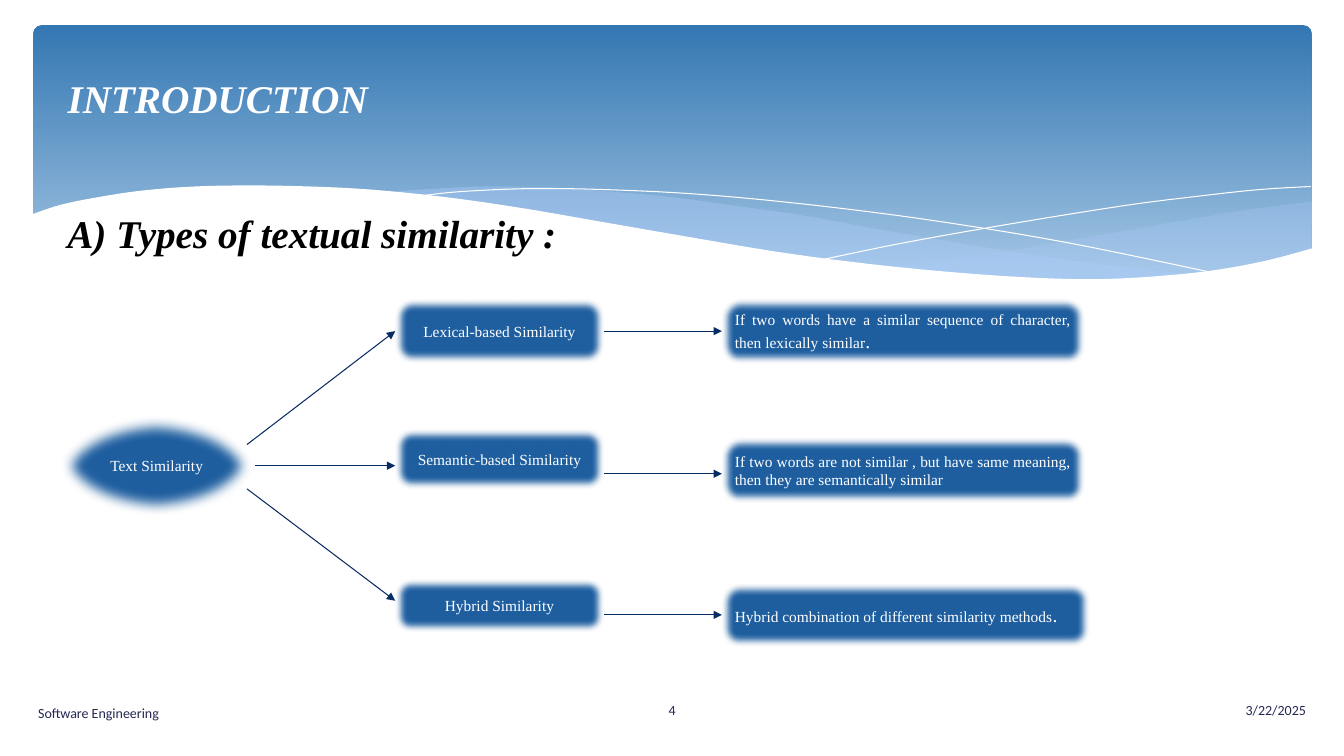
from lxml import etree
from pptx import Presentation
from pptx.dml.color import RGBColor
from pptx.enum.shapes import MSO_CONNECTOR, MSO_SHAPE
from pptx.enum.text import MSO_ANCHOR, MSO_AUTO_SIZE, PP_ALIGN
from pptx.oxml.ns import qn
from pptx.util import Inches, Pt

ROUND, OVAL = MSO_SHAPE.ROUNDED_RECTANGLE, MSO_SHAPE.OVAL
STRAIGHT = MSO_CONNECTOR.STRAIGHT
LEFT, CENTER, RIGHT, JUSTIFY = PP_ALIGN.LEFT, PP_ALIGN.CENTER, PP_ALIGN.RIGHT, PP_ALIGN.JUSTIFY
TOP, MIDDLE = MSO_ANCHOR.TOP, MSO_ANCHOR.MIDDLE
GROW = MSO_AUTO_SIZE.SHAPE_TO_FIT_TEXT
LEFT_SIDE, RIGHT_SIDE = 1, 3

COLORS = {
    "sky_top": "3477B2", "sky_bottom": "A1C4E3", "wave": "ACCBF9", "white": "FFFFFF",
    "black": "000000", "node": "1F5FA0", "arrow": "072C62", "footer": "242852",
}
HEADING = {"name": "Times New Roman", "size": Pt(28), "bold": True, "italic": True}
NODE = {"name": "Times New Roman", "size": Pt(11)}
FULL_STOP = {**NODE, "size": Pt(14)}
FOOTER = {"name": "Calibri", "size": Pt(10)}

RIGHT_WAVE_TOP = [(13.01, 2), (12.46, 2.07), (11.88, 2.16), (11.1, 2.3), (10.05, 2.48),
                  (9.41, 2.57), (8.82, 2.65)]
RIGHT_WAVE_BOTTOM = [(8.82, 2.65), (9.4, 2.71), (10.09, 2.76), (10.71, 2.78), (11.38, 2.76),
                     (12.07, 2.69), (12.57, 2.59), (13.01, 2.47)]
LONG_WAVE_TOP = [(11.9, 2.73), (10.76, 2.6), (9.89, 2.47), (8.91, 2.31), (7.98, 2.14),
                 (7.21, 2.03), (6.52, 1.94), (5.6, 1.87), (4.82, 1.85), (4.18, 1.88), (3.82, 1.91)]
LONG_WAVE_BOTTOM = [(3.82, 1.91), (4.56, 1.99), (5.39, 2.11), (5.99, 2.22), (7.06, 2.4),
                    (8.02, 2.55), (8.87, 2.66), (9.81, 2.75), (10.61, 2.78), (11.31, 2.77), (11.9, 2.73)]
FALLING_LINE = [(4.12, 1.95), (4.58, 1.9), (5.35, 1.87), (6.25, 1.89), (7.1, 1.94), (8.11, 2.04),
                (9.27, 2.19), (10.6, 2.41), (12.1, 2.72)]
RISING_LINE = [(8.18, 2.57), (8.96, 2.41), (9.97, 2.23), (11.15, 2.04), (11.94, 1.94),
               (12.5, 1.88), (13, 1.85)]
HILL = [(13.03, 2.46), (12.54, 2.59), (11.98, 2.69), (11.34, 2.75), (10.78, 2.77), (10.15, 2.75),
        (9.44, 2.7), (8.63, 2.62), (7.72, 2.5), (6.71, 2.33), (5.96, 2.2), (5.21, 2.07),
        (4.53, 1.97), (3.9, 1.9), (3.33, 1.86), (2.58, 1.84), (1.94, 1.85), (1.42, 1.89),
        (1.01, 1.95), (0.61, 2.03), (0.31, 2.13)]


def curve(knots, steps=6):
    """Return points of a Catmull-Rom spline through the knots."""
    padded = [knots[0], *knots, knots[-1]]
    points = [knots[0]]
    for a, b, c, d in zip(padded, padded[1:], padded[2:], padded[3:]):
        for step in range(1, steps + 1):
            t = step / steps
            points.append(tuple(
                (2 * q + (r - p) * t + (2 * p - 5 * q + 4 * r - s) * t ** 2
                 + (3 * q - p - 3 * r + s) * t ** 3) / 2
                for p, q, r, s in zip(a, b, c, d)))
    return points


class SimilaritySlide:
    """Holds the colours and the slide being drawn."""

    def __init__(self, deck, colors):
        self.colors = {name: RGBColor.from_string(code) for name, code in colors.items()}
        self.slide = deck.slides.add_slide(deck.slide_layouts[5])
        self.shapes = self.slide.shapes

    def letter(self, shape, runs, color, align, anchor=MIDDLE, auto_size=None):
        """Fill the text frame of a shape with formatted runs."""
        frame = shape.text_frame
        layout = {"word_wrap": True, "vertical_anchor": anchor, "auto_size": auto_size}
        for key, value in layout.items():
            setattr(frame, key, value)
        paragraph = frame.paragraphs[0]
        paragraph.alignment = align
        for wording, style in runs:
            run = paragraph.add_run()
            run.text = wording
            run.font.color.rgb = self.colors[color]
            for key, value in style.items():
                setattr(run.font, key, value)

    def title(self, box, wording):
        """Place the title in front of the banner."""
        title = self.shapes.title
        for key, value in zip(("left", "top", "width", "height"), box):
            setattr(title, key, Inches(value))
        self.letter(title, [(wording, HEADING)], "white", LEFT)
        self.shapes.element.append(title.element)

    def text(self, box, wording, style, color, align=LEFT, anchor=MIDDLE, auto_size=None):
        """Add a text box."""
        label = self.shapes.add_textbox(*map(Inches, box))
        self.letter(label, [(wording, style)], color, align, anchor, auto_size)

    def banner(self, box):
        """Add the rounded gradient banner."""
        banner = self.shapes.add_shape(ROUND, *map(Inches, box))
        banner.shadow.inherit = False
        banner.adjustments[0] = 0.03
        banner.line.fill.background()
        banner.fill.gradient()
        banner.fill.gradient_angle = 270
        stops = zip(banner.fill.gradient_stops, (0, 0.9), ("sky_top", "sky_bottom"))
        for stop, position, color in stops:
            stop.position = position
            stop.color.rgb = self.colors[color]

    def outline(self, points, close):
        """Add a freeform through points given in inches."""
        start, *rest = [(Inches(x), Inches(y)) for x, y in points]
        builder = self.shapes.build_freeform(*start, scale=1.0)
        builder.add_line_segments(rest, close=close)
        shape = builder.convert_to_shape()
        shape.shadow.inherit = False
        return shape

    def wave(self, points, color, opacity=100):
        """Add a filled wave."""
        wave = self.outline(points, True)
        wave.line.fill.background()
        wave.fill.solid()
        wave.fill.fore_color.rgb = self.colors[color]
        if opacity < 100:
            tint = wave.element.spPr.find(".//" + qn("a:srgbClr"))
            etree.SubElement(tint, qn("a:alpha"), val=str(opacity * 1000))

    def strand(self, points):
        """Add a thin white curve."""
        strand = self.outline(points, False)
        strand.fill.background()
        strand.line.color.rgb = self.colors["white"]
        strand.line.width = Pt(0)

    def node(self, box, runs, align=CENTER, preset=ROUND, softness=5):
        """Add a soft-edged diagram node."""
        node = self.shapes.add_shape(preset, *map(Inches, box))
        node.shadow.inherit = False
        node.fill.solid()
        node.fill.fore_color.rgb = self.colors["node"]
        node.line.color.rgb = self.colors["black"]
        node.line.width = Pt(0.75)
        effects = node.element.spPr.find(qn("a:effectLst"))
        etree.SubElement(effects, qn("a:softEdge"), rad=str(Pt(softness)))
        self.letter(node, runs, "white", align)
        return node

    def arrow(self, start, end, source=None, target=None):
        """Add an arrow, joined to any given nodes."""
        arrow = self.shapes.add_connector(STRAIGHT, *map(Inches, (*start, *end)))
        if source:
            arrow.begin_connect(source, RIGHT_SIDE)
        if target:
            arrow.end_connect(target, LEFT_SIDE)
        arrow.line.color.rgb = self.colors["arrow"]
        arrow.line.width = Pt(0.75)
        stroke = arrow.element.spPr.find(qn("a:ln"))
        etree.SubElement(stroke, qn("a:tailEnd"), type="triangle")
        etree.SubElement(arrow.element.spPr, qn("a:effectLst"))


def main():
    """Build and save the slide."""
    deck = Presentation()
    deck.slide_width, deck.slide_height = Inches(13.33), Inches(7.5)
    page = SimilaritySlide(deck, COLORS)

    page.banner((0.33, 0.25, 12.68, 2.7))
    page.wave(curve(RIGHT_WAVE_TOP) + curve(RIGHT_WAVE_BOTTOM), "wave", 29)
    page.wave(curve(LONG_WAVE_TOP) + curve(LONG_WAVE_BOTTOM), "wave", 40)
    page.strand(curve(FALLING_LINE))
    page.strand(curve(RISING_LINE))
    page.wave(curve(HILL) + [(0.31, 3.29), (13.03, 3.29)], "white")

    page.text((7.53, 6.84, 5.52, 0.4), "3/22/2025", FOOTER, "footer", RIGHT)
    page.text((0.28, 6.87, 5.52, 0.4), "Software Engineering", FOOTER, "footer")
    page.text((5.82, 6.84, 1.69, 0.4), "4", FOOTER, "footer", CENTER)

    page.node((0.57, 4.12, 1.97, 1), [("Text Similarity", NODE)], preset=OVAL, softness=9)
    kinds = [
        page.node((3.92, top, 2.07, height), [(f"{kind} Similarity", NODE)])
        for kind, top, height in (("Lexical-based", 2.97, 0.63), ("Semantic-based", 4.26, 0.59),
                                  ("Hybrid", 5.74, 0.53))]
    definitions = (
        (2.97, 3.59, 0.63, [("If two words have a similar sequence of character, "
                             "then lexically similar", NODE), (".", FULL_STOP)]),
        (4.35, 3.59, 0.63, [("If two words are not similar , but have same meaning, "
                             "then they are semantically similar", NODE)]),
        (5.79, 3.64, 0.62, [("Hybrid combination of different similarity methods", NODE),
                            (".", FULL_STOP)]))
    meanings = [page.node((7.16, top, width, height), runs, JUSTIFY)
                for top, width, height, runs in definitions]

    page.arrow((2.45, 4.41), (3.92, 3.28), target=kinds[0])
    page.arrow((2.53, 4.62), (3.92, 4.62))
    page.arrow((2.45, 4.85), (3.92, 5.96))
    page.arrow((5.99, 3.3), (7.16, 3.28), kinds[0], meanings[0])
    page.arrow((5.99, 4.7), (7.16, 4.7))
    page.arrow((5.99, 6.1), (7.16, 6.1), target=meanings[2])

    page.title((0.57, 0.29, 12, 1.37), "INTRODUCTION")
    page.text((0.57, 2.03, 5.52, 0.57), "A) Types of textual similarity :", HEADING, "black",
              anchor=TOP, auto_size=GROW)
    deck.save("out.pptx")


if __name__ == "__main__":
    main()
